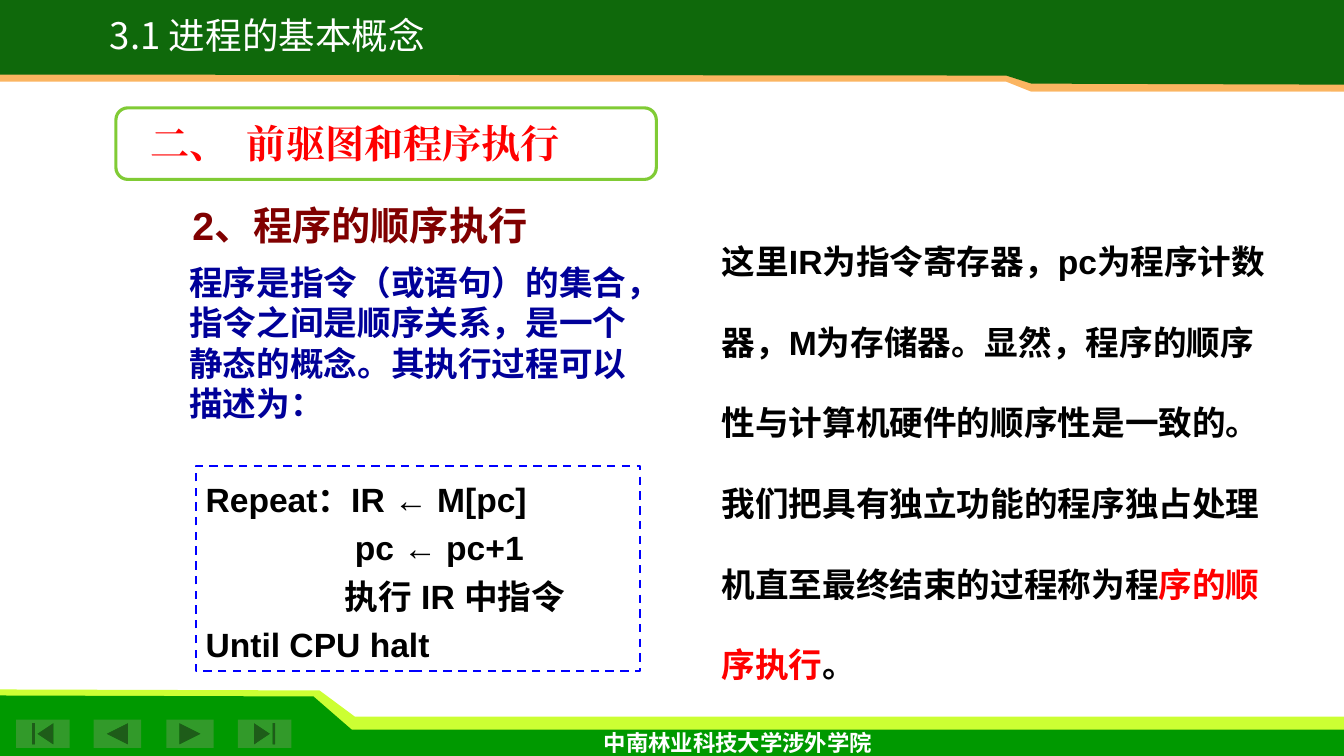
from lxml import etree
from pptx import Presentation
from pptx import util as u
from pptx.dml.color import RGBColor
from pptx.enum import dml, shapes, text
from pptx.oxml import ns

In = u.Inches
Kind = shapes.MSO_SHAPE
Align = text.PP_ALIGN

footer_bands = [
    ("CCFF33", [(0, 7.4), (13.33, 7.4), (13.33, 7.11), (3.52, 7.11), (3.17, 6.85), (0, 6.84)]),
    ("009900", [(0, 7.5), (13.33, 7.5), (13.33, 7.24), (3.49, 7.24), (3.11, 6.91), (0, 6.9)]),
]
header_bands = [
    ("FBB561", [(13.33, 0), (0, 0), (0, 0.81), (9.98, 0.81), (10.23, 0.91), (13.33, 0.91)]),
    ("0F690B", [(13.33, 0), (0, 0), (0, 0.74), (9.98, 0.75), (10.23, 0.83), (13.33, 0.84)]),
]
header_gleam = [(10.06, 0.91), (13.2, 0.91), (13.19, 0.96), (10.19, 0.97)]
nav_buttons = [
    (Kind.ACTION_BUTTON_BEGINNING, 0.16, 0.53),
    (Kind.ACTION_BUTTON_BACK_OR_PREVIOUS, 0.93, 0.47),
    (Kind.ACTION_BUTTON_FORWARD_OR_NEXT, 1.65, 0.47),
    (Kind.ACTION_BUTTON_END, 2.36, 0.53),
]
school = "中南林业科技大学涉外学院"
chapter = "3.1 进程的基本概念"
section = "二、\t前驱图和程序执行"
topic = "2、程序的顺序执行"
definition = "程序是指令（或语句）的集合，指令之间是顺序关系，是一个静态的概念。其执行过程可以描述为："
cycle = [
    ("Repeat：IR ← M[pc]", 0),
    ("pc ← pc+1", 1.48),
    ("执行 IR 中指令", 1.38),
    ("Until CPU halt", 0),
]
explanation = [
    ("这里IR为指令寄存器，pc为程序计数器，M为存储器。显然，程序的顺序性与计算机硬件的顺序性是一致的。"
     "我们把具有独立功能的程序独占处理机直至最终结束的过程称为程", "000000"),
    ("序的顺序执行", "FF0000"),
    ("。", "000000"),
]

deck = Presentation()
deck.slide_width, deck.slide_height = In(13.33), In(7.5)
slide = deck.slides.add_slide(deck.slide_layouts[6])


def rgb(value):
    return RGBColor.from_string(value)


def paint(shape, fill=None, alpha=None, line=None, width=1):
    shape.shadow.inherit = False
    if fill:
        shape.fill.solid()
        shape.fill.fore_color.rgb = rgb(fill)
        if alpha:
            tint = shape.fill._xPr.find(ns.qn("a:solidFill"))[0]
            etree.SubElement(tint, ns.qn("a:alpha")).set("val", str(alpha * 1000))
    else:
        shape.fill.background()
    if line:
        shape.line.color.rgb = rgb(line)
        shape.line.width = u.Pt(width)
    else:
        shape.line.fill.background()


def band(points, fill, alpha=None):
    start, *rest = [(round(x * 100), round(y * 100)) for x, y in points]
    outline = slide.shapes.build_freeform(*start, scale=In(1) / 100)
    outline.add_line_segments(rest, close=True)
    paint(outline.convert_to_shape(), fill, alpha)


def block(kind, left, top, width, height):
    return slide.shapes.add_shape(kind, In(left), In(top), In(width), In(height))


def write(frame, paragraphs, size, font="Arial", bold=True, spacing=1.0, align=Align.LEFT,
          wrap=True, anchor=text.MSO_ANCHOR.TOP, tab=None):
    frame.word_wrap = wrap
    frame.vertical_anchor = anchor
    for index, (runs, indent) in enumerate(paragraphs):
        line = frame.add_paragraph() if index else frame.paragraphs[0]
        line.alignment = align
        line.line_spacing = spacing
        props = line._p.get_or_add_pPr()
        if indent:
            props.set("marL", str(In(indent)))
            props.set("indent", "0")
        if tab:
            stops = etree.SubElement(props, ns.qn("a:tabLst"))
            etree.SubElement(stops, ns.qn("a:tab"), pos=str(In(tab)), algn="l")
        for words, color in runs:
            run = line.add_run()
            run.text = words
            run.font.size = u.Pt(size)
            run.font.bold = bold
            run.font.color.rgb = rgb(color)
            run.font.name = font
            etree.SubElement(run._r.get_or_add_rPr(), ns.qn("a:ea"), typeface=font)


def label(left, top, width, height, runs, size, **style):
    box = slide.shapes.add_textbox(In(left), In(top), In(width), In(height))
    write(box.text_frame, [(runs, 0)], size, **style)


for fill, points in footer_bands:
    band(points, fill)
for kind, left, width in nav_buttons:
    paint(block(kind, left, 7.14, width, 0.28), "329A2A")
for fill, points in header_bands:
    band(points, fill)
band(header_gleam, "FFFFFF", 30)

label(5.89, 7.18, 2.89, 0.37, [(school, "FFFFFF")], 16, font="Karla", wrap=False)
label(1.81, 2, 3.99, 0.58, [(topic, "800000")], 28, spacing=0.9)
label(1.78, 2.55, 4.57, 1.72, [(definition, "000099")], 24)

cycle_box = block(Kind.RECTANGLE, 1.94, 4.62, 4.41, 2.04)
paint(cycle_box, line="0000FF", width=1.5)
cycle_box.line.dash_style = dml.MSO_LINE.DASH
write(cycle_box.text_frame, [([(step, "000000")], indent) for step, indent in cycle], 24, spacing=1.2)

label(7.06, 1.94, 5.75, 4.82, explanation, 24, spacing=2.0)

section_frame = block(Kind.ROUNDED_RECTANGLE, 1.15, 1.07, 5.36, 0.71)
paint(section_frame, "FFFFFF", 90, "80CB35", 2.25)
label(1.39, 1.13, 5.75, 0.57, [(section, "FF0000")], 28, font="Times New Roman", tab=0.96)
label(0.49, 0.16, 4.33, 0.46, [(chapter, "FFFFFF")], 26.1, font="Noto Sans CJK SC", bold=False,
      spacing=0.8, align=Align.CENTER, wrap=False)

deck.save("out.pptx")
